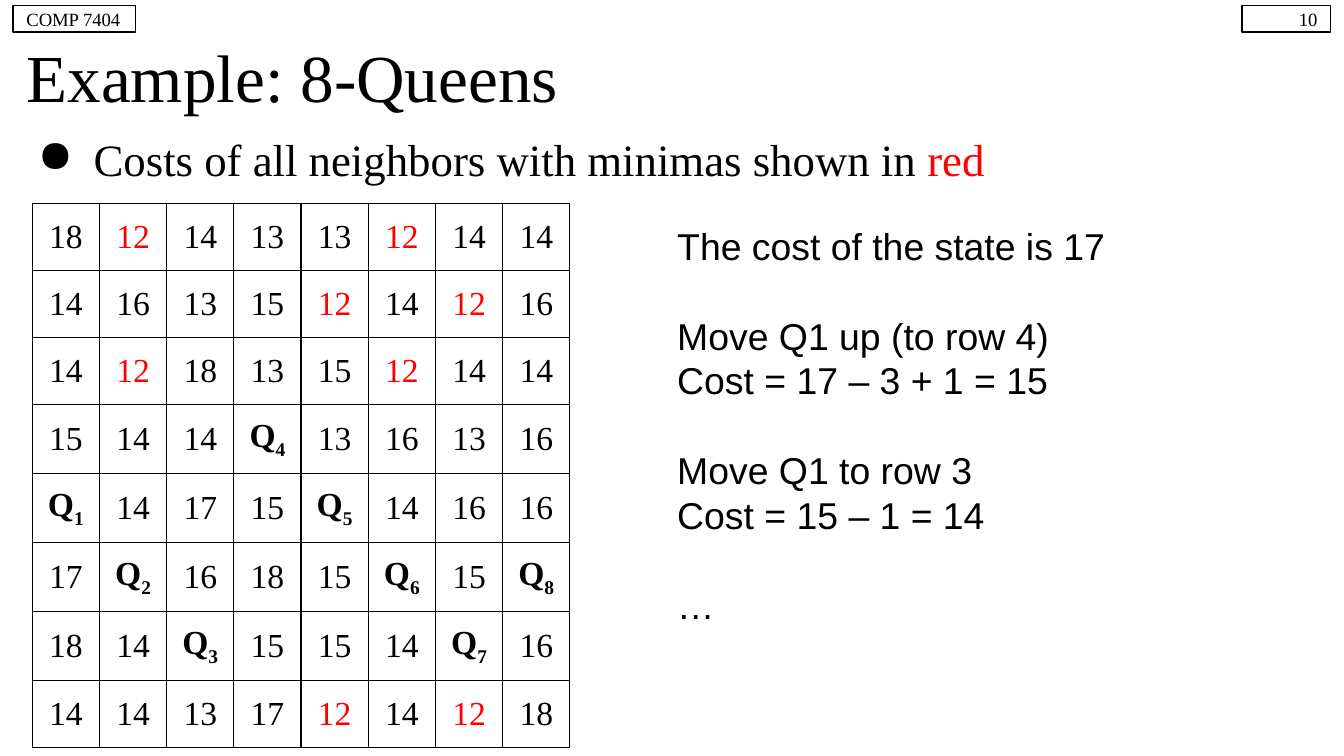
from lxml.etree import SubElement
from pptx import Presentation
from pptx.dml.color import RGBColor
from pptx.enum.shapes import MSO_SHAPE
from pptx.enum.text import MSO_ANCHOR, MSO_AUTO_SIZE, PP_ALIGN
from pptx.oxml.ns import qn
from pptx.util import Cm, Pt

# Content
TITLE = "Example: 8-Queens"
BULLET = [("Costs of all neighbors with minimas shown in ", "black"), ("red", "red")]
TAGS = [  # text, left, width, alignment
    ("10", 23.47, 1.68, PP_ALIGN.RIGHT),
    ("COMP 7404", 0.25, 2.31, PP_ALIGN.LEFT),
]
BOARD = [
    "18 12 14 13 13 12 14 14",
    "14 16 13 15 12 14 12 16",
    "14 12 18 13 15 12 14 14",
    "15 14 14 Q4 13 16 13 16",
    "Q1 14 17 15 Q5 14 16 16",
    "17 Q2 16 18 15 Q6 15 Q8",
    "18 14 Q3 15 15 14 Q7 16",
    "14 14 13 17 12 14 12 18",
]
MINIMUM = "12"
NOTES = [  # groups of lines, one gap between groups
    ["The cost of the state is 17"],
    ["Move Q1 up (to row 4)", "Cost = 17 – 3 + 1 = 15"],
    ["Move Q1 to row 3", "Cost = 15 – 1 = 14"],
    ["…"],
]
COLORS = {"black": "000000", "red": "FF0000"}
SERIF, SANS = "Times New Roman", "Arial"
INSET = Cm(0.25)
SQUARE = Cm(1.27)


def style(r, size, color="black", name=SERIF, bold=False):
    r.font.size, r.font.name, r.font.bold = Pt(size), name, bold
    r.font.color.rgb = RGBColor.from_string(COLORS[color])


def add_run(p, text, size, **look):
    r = p.add_run()
    r.text = text
    style(r, size, **look)
    return r


def set_frame(tf, anchor=MSO_ANCHOR.TOP, inset=INSET):
    tf.word_wrap, tf.auto_size = True, MSO_AUTO_SIZE.NONE
    tf.vertical_anchor = anchor
    tf.margin_left = tf.margin_right = tf.margin_top = tf.margin_bottom = inset


def set_borders(cell):
    tcPr = cell._tc.get_or_add_tcPr()
    for side in ("a:lnL", "a:lnR", "a:lnT", "a:lnB"):
        ln = SubElement(tcPr, qn(side), w=str(Pt(0.75)))
        SubElement(SubElement(ln, qn("a:solidFill")), qn("a:srgbClr"), val=COLORS["black"])


prs = Presentation()
prs.slide_width, prs.slide_height = Cm(25.4), Cm(14.29)
s = prs.slides.add_slide(prs.slide_layouts[5])

# Title
sp = s.shapes.title
sp.left, sp.top, sp.width, sp.height = Cm(0.25), Cm(0.71), Cm(24.89), Cm(1.45)
set_frame(sp.text_frame, MSO_ANCHOR.MIDDLE)
sp.text_frame.text = TITLE
p = sp.text_frame.paragraphs[0]
p.alignment = PP_ALIGN.LEFT
style(p.runs[0], 36)

# Bullet line
tf = s.shapes.add_textbox(Cm(0.25), Cm(2.24), Cm(24.89), Cm(11.71)).text_frame
set_frame(tf)
p = tf.paragraphs[0]
for text, color in BULLET:
    add_run(p, text, 24, color=color)
pPr = p._p.get_or_add_pPr()
pPr.set("marL", str(Cm(1.27)))
pPr.set("indent", str(-Cm(1.06)))
SubElement(SubElement(pPr, qn("a:buClr")), qn("a:srgbClr"), val=COLORS["black"])
SubElement(pPr, qn("a:buChar"), char="●")

# Course tag and page number
for text, left, width, align in TAGS:
    sp = s.shapes.add_shape(MSO_SHAPE.RECTANGLE, Cm(left), Cm(0.1), Cm(width), Cm(0.51))
    sp.shadow.inherit = False
    sp.fill.background()
    sp.line.color.rgb = RGBColor.from_string(COLORS["black"])
    sp.line.width = Pt(0.75)
    set_frame(sp.text_frame, MSO_ANCHOR.MIDDLE)
    p = sp.text_frame.paragraphs[0]
    p.alignment = align
    add_run(p, text, 10)

# Board of costs and queens
rows = [line.split() for line in BOARD]
n = len(rows)
table = s.shapes.add_table(n, n, Cm(0.61), Cm(3.84), SQUARE * n, SQUARE * n).table
table.first_row = table.horz_banding = False
for i, row in enumerate(rows):
    table.rows[i].height = table.columns[i].width = SQUARE
    for j, value in enumerate(row):
        cell = table.cell(i, j)
        cell.vertical_anchor = MSO_ANCHOR.MIDDLE
        cell.margin_left = cell.margin_right = INSET
        cell.margin_top = cell.margin_bottom = INSET
        set_borders(cell)
        cell.fill.background()
        p = cell.text_frame.paragraphs[0]
        p.alignment = PP_ALIGN.CENTER
        if value.startswith("Q"):
            add_run(p, "Q", 18, bold=True)
            r = add_run(p, value[1:], 18, bold=True)
            r._r.get_or_add_rPr().set("baseline", "-25000")
        else:
            add_run(p, value, 18, color="red" if value == MINIMUM else "black")

# Worked costs
tf = s.shapes.add_textbox(Cm(12.55), Cm(4.09), Cm(10.82), Cm(7.95)).text_frame
set_frame(tf, inset=Cm(0.13))
tf.margin_left = tf.margin_right = INSET
tf.text = "\n".join(line for group in NOTES for line in group)
starts = [group[0] for group in NOTES[1:]]
for p in tf.paragraphs:
    p.line_spacing = Pt(24)
    p.space_before = Pt(24 if p.text in starts else 0)
    style(p.runs[0], 20, name=SANS)

prs.save("out.pptx")
